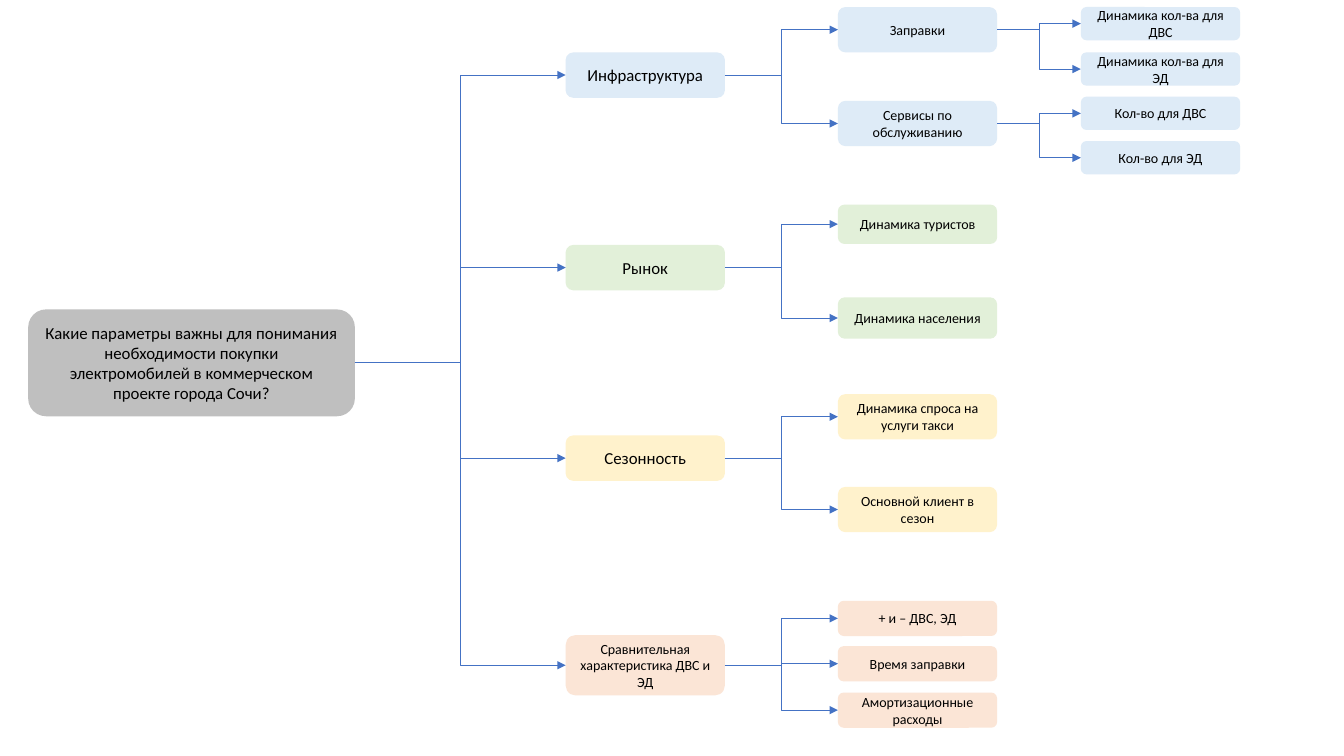
import dataclasses

import lxml.etree
import pptx
import pptx.dml.color
import pptx.enum.shapes
import pptx.enum.text
import pptx.oxml.ns
import pptx.util

Inches = pptx.util.Inches
RGBColor = pptx.dml.color.RGBColor

GREY = RGBColor(0xBF, 0xBF, 0xBF)
BLUE = RGBColor(0xDE, 0xEB, 0xF7)
GREEN = RGBColor(0xE2, 0xF0, 0xD9)
YELLOW = RGBColor(0xFF, 0xF2, 0xCC)
ORANGE = RGBColor(0xFB, 0xE5, 0xD6)
LINE = RGBColor(0x44, 0x72, 0xC4)
BLACK = RGBColor(0, 0, 0)

COLUMN_LEFTS = [0.28, 5.61, 8.31, 10.72]
COLUMN_WIDTHS = [3.24, 1.58, 1.58, 1.58]
LEFT_SITE, RIGHT_SITE = 1, 3


@dataclasses.dataclass
class Node:
    text: str
    top: float
    height: float = 0.45
    size: int = 10
    fill: RGBColor = None
    children: tuple = ()


TREE = Node(
    "Какие параметры важны для понимания необходимости покупки "
    "электромобилей в коммерческом проекте города Сочи?",
    3.07, 1.06, 12, GREY, (
        Node("Инфраструктура", 0.52, size=12, fill=BLUE, children=(
            Node("Заправки", 0.07, children=(
                Node("Динамика кол-ва для ДВС", 0.07, 0.33),
                Node("Динамика кол-ва для ЭД", 0.52, 0.33))),
            Node("Сервисы по обслуживанию", 1, children=(
                Node("Кол-во для ДВС", 0.96, 0.33),
                Node("Кол-во для ЭД", 1.4, 0.33))))),
        Node("Рынок", 2.43, size=12, fill=GREEN, children=(
            Node("Динамика туристов", 2.03, 0.39),
            Node("Динамика населения", 2.95, 0.41))),
        Node("Сезонность", 4.32, size=12, fill=YELLOW, children=(
            Node("Динамика спроса на услуги такси", 3.91),
            Node("Основной клиент в сезон", 4.83))),
        Node("Сравнительная характеристика ДВС и ЭД", 6.3, 0.6,
             fill=ORANGE, children=(
                 Node("+ и – ДВС, ЭД", 5.96, 0.35),
                 Node("Время заправки", 6.41, 0.35),
                 Node("Амортизационные расходы", 6.87, 0.35)))))


def apply_format(target, values):
    for name, value in values.items():
        setattr(target, name, value)


def add_box(page, node, level, fill):
    box = page.shapes.add_shape(
        pptx.enum.shapes.MSO_SHAPE.ROUNDED_RECTANGLE,
        Inches(COLUMN_LEFTS[level]), Inches(node.top),
        Inches(COLUMN_WIDTHS[level]), Inches(node.height))
    box.shadow.inherit = False
    box.fill.solid()
    box.fill.fore_color.rgb = fill
    box.line.fill.background()
    apply_format(box.text_frame, {
        "word_wrap": True,
        "vertical_anchor": pptx.enum.text.MSO_ANCHOR.MIDDLE})
    para = box.text_frame.paragraphs[0]
    para.alignment = pptx.enum.text.PP_ALIGN.CENTER
    span = para.add_run()
    span.text = node.text
    apply_format(span.font, {"name": "Calibri",
                             "size": pptx.util.Pt(node.size)})
    span.font.color.rgb = BLACK
    return box


def add_arrow(page, parent, child):
    arrow = page.shapes.add_connector(
        pptx.enum.shapes.MSO_CONNECTOR.ELBOW, 0, 0, 0, 0)
    arrow.begin_connect(parent, RIGHT_SITE)
    arrow.end_connect(child, LEFT_SITE)
    arrow.line.width = pptx.util.Pt(0.5)
    arrow.line.color.rgb = LINE
    qn = pptx.oxml.ns.qn
    lxml.etree.SubElement(arrow.line._get_or_add_ln(), qn("a:tailEnd"),
                          type="triangle")
    lxml.etree.SubElement(arrow._element.spPr, qn("a:effectLst"))


def add_branch(page, node, level=0, inherited_fill=None):
    fill = node.fill or inherited_fill
    box = add_box(page, node, level, fill)
    for child in node.children:
        add_arrow(page, box, add_branch(page, child, level + 1, fill))
    return box


def main():
    deck = pptx.Presentation()
    apply_format(deck, {"slide_width": Inches(13.33),
                        "slide_height": Inches(7.5)})
    page = deck.slides.add_slide(deck.slide_layouts.get_by_name("Blank"))
    add_branch(page, TREE)
    deck.save("out.pptx")


main()
